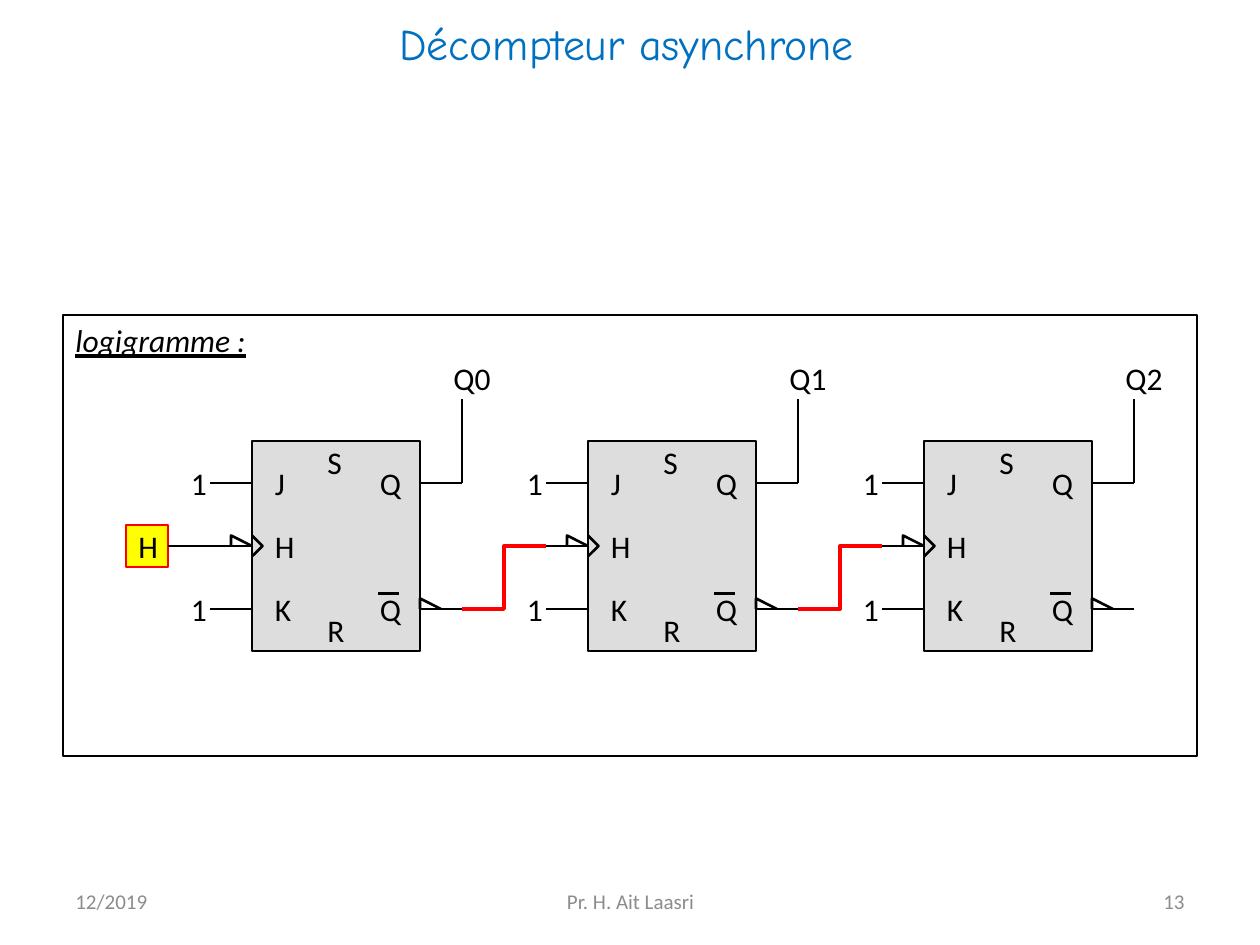
from lxml.etree import SubElement
from pptx import Presentation
from pptx.dml.color import RGBColor
from pptx.enum.shapes import MSO_CONNECTOR as CONN, MSO_SHAPE as SHAPE
from pptx.enum.text import MSO_ANCHOR as ANCHOR, PP_ALIGN as ALIGN
from pptx.oxml.ns import qn
from pptx.util import Inches, Pt

COLORS = {"black": "000000", "red": "FF0000", "yellow": "FFFF00",
          "block": "DDDDDD", "title": "0070C0", "footer": "8C8C8C"}
FIRST_X, PITCH = 24, 32
STAGES = 3


def rgb(name):
    return RGBColor.from_string(COLORS[name])


def grid(*values):
    return [Inches(v / 12) for v in values]


def set_line(shape, color, width):
    shape.line.color.rgb = rgb(color)
    shape.line.width = Pt(width)


def format_text(shape, text, size=18, color="black", align=ALIGN.LEFT,
                font="Calibri", wrap=True, anchor=ANCHOR.MIDDLE):
    tf = shape.text_frame
    tf.text = text
    tf.word_wrap = wrap
    tf.vertical_anchor = anchor
    p = tf.paragraphs[0]
    p.alignment = align
    r = p.runs[0]
    r.font.name = font
    r.font.size = Pt(size)
    r.font.color.rgb = rgb(color)
    return r


def add_label(shapes, text, x, y, w=4):
    tb = shapes.add_textbox(*grid(x, y, w, 4))
    format_text(tb, text, wrap=False)
    tb.text_frame.margin_right = 0


def add_box(shapes, x, y, w, h, fill=None, line="black", width=1.5):
    sp = shapes.add_shape(SHAPE.RECTANGLE, *grid(x, y, w, h))
    sp.shadow.inherit = False
    if fill:
        sp.fill.solid()
        sp.fill.fore_color.rgb = rgb(fill)
    else:
        sp.fill.background()
    set_line(sp, line, width)
    return sp


def add_wire(shapes, x1, y1, x2, y2):
    wire = shapes.add_connector(CONN.STRAIGHT, *grid(x1, y1, x2, y2))
    set_line(wire, "black", 1.5)
    SubElement(wire._element.spPr, qn("a:effectLst"))


def add_path(shapes, points, color="black", width=1.5):
    start, *rest = [grid(*point) for point in points]
    builder = shapes.build_freeform(*start)
    builder.add_line_segments(rest, close=False)
    sp = builder.convert_to_shape()
    sp.shadow.inherit = False
    sp.fill.background()
    set_line(sp, color, width)


def add_flip_flop(s, x):
    shapes = s.shapes.add_group_shape().shapes
    add_box(shapes, x, 42, 16, 20, "block")
    for y in (46, 52, 58):
        add_wire(shapes, x - 4, y, x, y)
    for y in (46, 58):
        add_wire(shapes, x + 16, y, x + 20, y)
        add_label(shapes, "1", x - 7, y - 2)
        add_label(shapes, "Q", x + 11, y - 2)
    add_wire(shapes, x + 12, 56.5, x + 14, 56.5)
    for text, dx, y in (("J", 1, 44), ("H", 1, 50), ("K", 1, 56),
                        ("S", 6, 42), ("R", 6, 58)):
        add_label(shapes, text, x + dx, y)
    add_path(shapes, [(x, 51), (x + 1, 52), (x, 53)])
    add_path(shapes, [(x + 16, 58), (x + 16, 57), (x + 18, 58)])
    add_path(shapes, [(x, 52), (x - 2, 51), (x - 2, 52)])


def add_clock(s):
    shapes = s.shapes.add_group_shape().shapes
    clock = add_box(shapes, 12, 50, 4, 4, "yellow", "red", 0.75)
    format_text(clock, "H", wrap=False)
    add_wire(shapes, 16, 52, 20, 52)


def add_outputs(s):
    shapes = s.shapes.add_group_shape().shapes
    for i in range(STAGES):
        x = FIRST_X + i * PITCH + 20
        add_label(shapes, f"Q{i}", x - 2, 34, 5)
        add_wire(shapes, x, 46, x, 38)


def add_carry(s, x):
    add_path(s.shapes, [(x, 58), (x + 4, 58), (x + 4, 52), (x + 8, 52)], "red", 2.25)


def add_frame(s):
    shapes = s.shapes.add_group_shape().shapes
    add_box(shapes, 6, 30, 108, 42, width=1)
    caption = shapes.add_textbox(Inches(0.5), Inches(2.5), Inches(1.92), Inches(0.4))
    r = format_text(caption, "logigramme :", anchor=ANCHOR.TOP)
    r.font.italic = True
    r.font.underline = True


def add_title(s, text):
    title = s.shapes.title
    title.left, title.top = Inches(3.07), Inches(0)
    title.width, title.height = Inches(4.12), Inches(0.68)
    format_text(title, text, 25, "title", font="Comic Neue")


def add_footer(s):
    for text, x, w, align in (("12/2019", 0.5, 2.33, ALIGN.LEFT),
                              ("13", 7.17, 2.33, ALIGN.RIGHT),
                              ("Pr. H. Ait Laasri", 3.42, 3.17, ALIGN.CENTER)):
        tb = s.shapes.add_textbox(Inches(x), Inches(6.95), Inches(w), Inches(0.4))
        format_text(tb, text, 12, "footer", align)


def main():
    prs = Presentation()
    prs.slide_width, prs.slide_height = Inches(10), Inches(7.5)
    s = prs.slides.add_slide(prs.slide_layouts[5])
    add_clock(s)
    add_outputs(s)
    for i in range(STAGES):
        add_flip_flop(s, FIRST_X + i * PITCH)
    for i in range(STAGES - 1):
        add_carry(s, FIRST_X + i * PITCH + 20)
    add_frame(s)
    add_title(s, "Décompteur asynchrone")
    add_footer(s)
    prs.save("out.pptx")


main()
